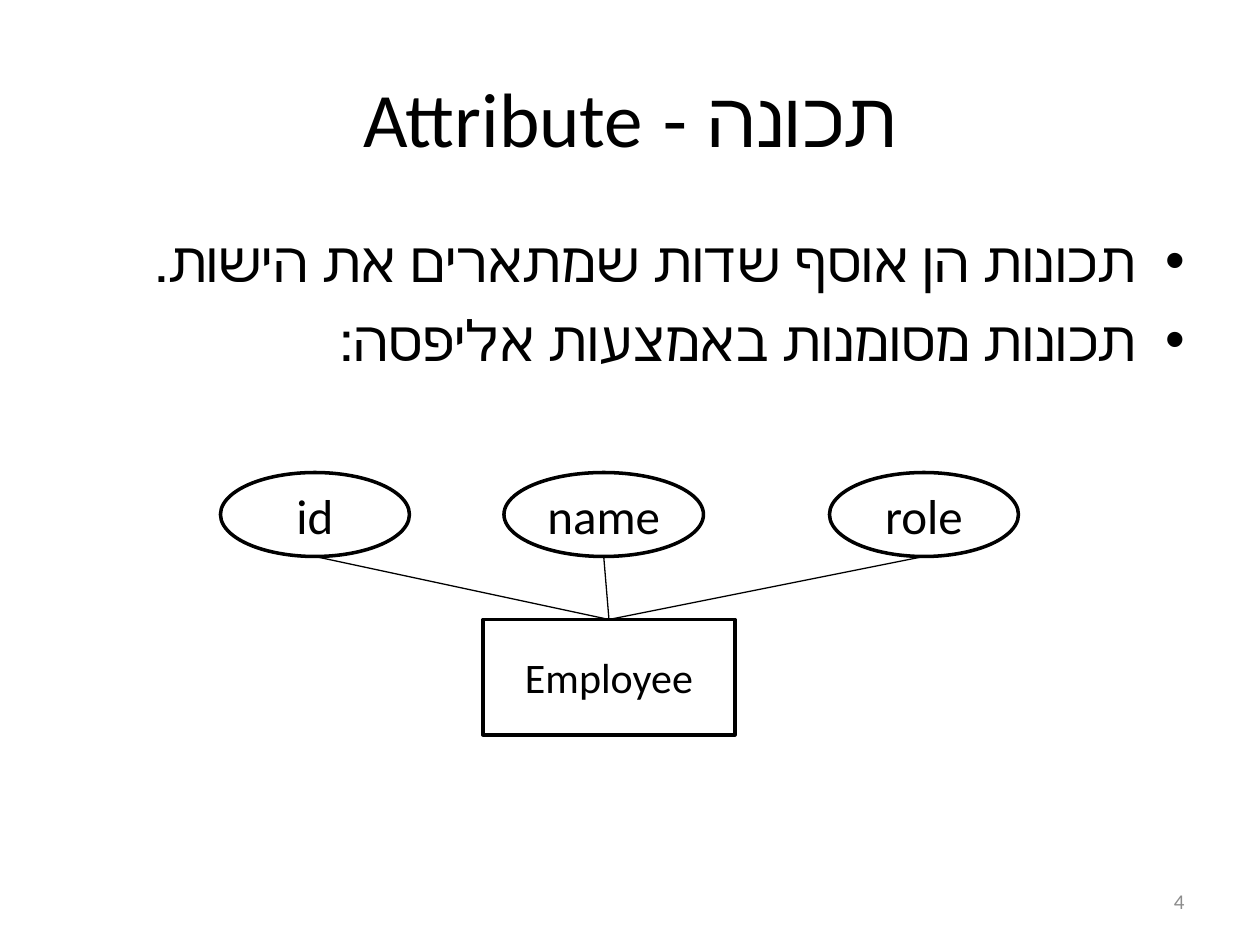
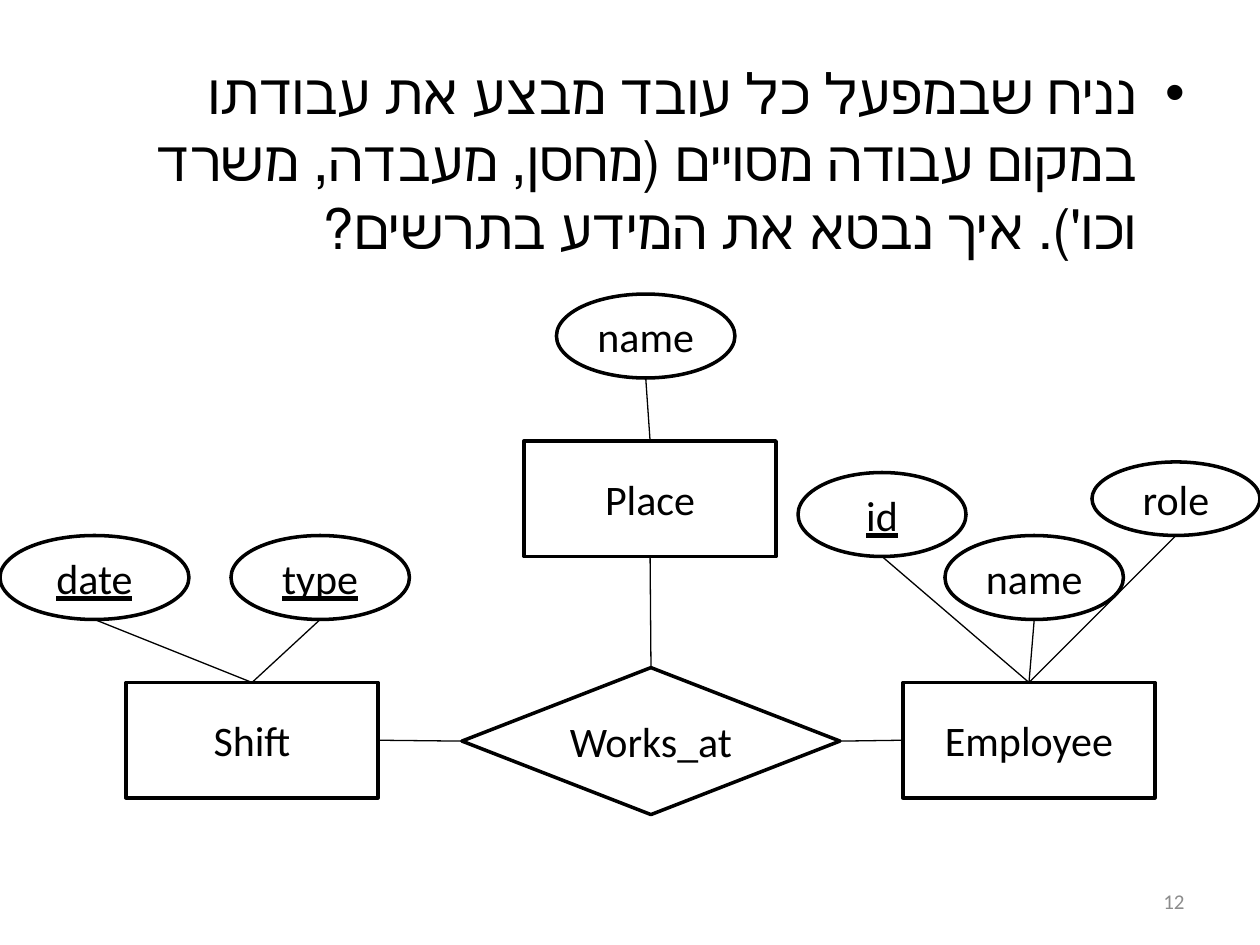
"""Build two slides of entity-relationship diagrams with Hebrew text."""
from dataclasses import dataclass

import pptx
import pptx.dml.color
import pptx.enum.shapes
import pptx.enum.text
import pptx.oxml.xmlchemy
import pptx.util
from lxml import etree
from pptx.oxml import ns

Pt = pptx.util.Pt
SHAPE = pptx.enum.shapes.MSO_SHAPE
ALIGN = pptx.enum.text.PP_ALIGN
ANCHOR = pptx.enum.text.MSO_ANCHOR
FONT = "Calibri"
COLORS = {"ink": "000000", "number": "8C8C8C"}
TOP, LEFT, BOTTOM, RIGHT = range(4)
MARGIN, CONTENT_W = 36, 648
ENTITY_W, ENTITY_H = 144, 66


@dataclass(frozen=True)
class Attribute:
    name: str
    x: float
    y: float
    w: float
    h: float = 48
    key: bool = False


@dataclass(frozen=True)
class Entity:
    name: str
    x: float
    y: float
    attributes: tuple[Attribute, ...]


def rgb(name: str):
    return pptx.dml.color.RGBColor.from_string(COLORS[name])


def write(sp, *texts: str, size: float, color: str = "ink", align=ALIGN.CENTER,
          anchor=ANCHOR.MIDDLE, underline: bool = False, rtl: bool = False,
          bullet: bool = False) -> None:
    tf = sp.text_frame
    tf.word_wrap = True
    tf.vertical_anchor = anchor
    for i, text in enumerate(texts):
        p = tf.paragraphs[0] if i == 0 else tf.add_paragraph()
        p.alignment = align
        pPr = p._p.get_or_add_pPr()
        if rtl:
            pPr.set("rtl", "1")
        if bullet:
            pPr.set("marL", str(Pt(27)))
            pPr.set("indent", str(-Pt(27)))
            etree.SubElement(pPr, ns.qn("a:buFont")).set("typeface", "Arial")
            etree.SubElement(pPr, ns.qn("a:buChar")).set("char", "•")
        if i:
            p.space_before = Pt(size * 0.2)
        r = p.add_run()
        r.text = text
        r.font.name = FONT
        r.font.size = Pt(size)
        r.font.color.rgb = rgb(color)
        if underline:
            r.font.underline = True


def add_text(s, x: float, y: float, w: float, h: float, *texts: str, **fmt) -> None:
    write(s.shapes.add_textbox(Pt(x), Pt(y), Pt(w), Pt(h)), *texts, **fmt)


def add_body(s, y: float, h: float, *texts: str) -> None:
    add_text(s, MARGIN, y, CONTENT_W, h, *texts, size=32, align=ALIGN.RIGHT,
             anchor=ANCHOR.TOP, rtl=True, bullet=True)


def add_node(s, kind, x: float, y: float, w: float, h: float, text: str, **fmt):
    sp = s.shapes.add_shape(kind, Pt(x), Pt(y), Pt(w), Pt(h))
    sp.shadow.inherit = False
    sp.fill.background()
    sp.line.color.rgb = rgb("ink")
    sp.line.width = Pt(2)
    sp.text_frame.margin_left = sp.text_frame.margin_right = 0
    write(sp, text, **fmt)
    return sp


def add_link(s, x: float, y: float, target, side: int):
    cxn = s.shapes.add_connector(pptx.enum.shapes.MSO_CONNECTOR.STRAIGHT,
                                 Pt(x), Pt(y), Pt(x), Pt(y))
    cxn.end_connect(target, side)
    cxn.line.color.rgb = rgb("ink")
    cxn.line.width = Pt(0.75)
    etree.SubElement(cxn._element.spPr, ns.qn("a:effectLst"))
    return cxn


def add_entity(s, entity: Entity, attribute_size: float = 24):
    box = add_node(s, SHAPE.RECTANGLE, entity.x, entity.y, ENTITY_W, ENTITY_H,
                   entity.name, size=24)
    for a in entity.attributes:
        add_node(s, SHAPE.OVAL, a.x, a.y, a.w, a.h, a.name,
                 size=attribute_size, underline=a.key)
        add_link(s, a.x + a.w / 2, a.y + a.h, box, TOP)
    return box


def add_slide(prs, number: int):
    s = prs.slides.add_slide(prs.slide_layouts[6])
    add_text(s, 516, 500.5, 168, 28.75, str(number), size=12, color="number",
             align=ALIGN.RIGHT)
    return s


def add_attribute_slide(prs) -> None:
    s = add_slide(prs, 4)
    add_text(s, MARGIN, 21.6, CONTENT_W, 90, "תכונה - Attribute", size=44, rtl=True)
    add_body(s, 126, 150, "תכונות הן אוסף שדות שמתארים את הישות.",
             "תכונות מסומנות באמצעות אליפסה:")
    add_entity(s, Entity("Employee", 276, 354, (
        Attribute("id", 126, 270, 108),
        Attribute("role", 474, 270, 108),
        Attribute("name", 288, 270, 114))), attribute_size=28)


def add_relationship_slide(prs) -> None:
    s = add_slide(prs, 12)
    add_body(s, 30, 162, "נניח שבמפעל כל עובד מבצע את עבודתו במקום עבודה מסויים "
             "(מחסן, מעבדה, משרד וכו'). איך נבטא את המידע בתרשים?")
    shift = add_entity(s, Entity("Shift", 72, 390, (
        Attribute("type", 132, 306, 102, key=True),
        Attribute("date", 0, 306, 108, key=True))))
    employee = add_entity(s, Entity("Employee", 516, 390, (
        Attribute("id", 456, 270, 96, key=True),
        Attribute("role", 624, 264, 96, 42),
        Attribute("name", 540, 306, 102))))
    place = add_entity(s, Entity("Place", 299.5, 252, (
        Attribute("name", 318, 168, 102),)))
    x, y, w, h = 264, 381.5, 216, 84
    works_at = add_node(s, SHAPE.FLOWCHART_DECISION, x, y, w, h, "Works_at", size=24)
    for box, side, corner in ((shift, RIGHT, LEFT), (employee, LEFT, RIGHT),
                              (place, BOTTOM, TOP)):
        add_link(s, x, y, box, side).begin_connect(works_at, corner)


def main() -> None:
    prs = pptx.Presentation()
    prs.slide_width, prs.slide_height = Pt(720), Pt(540)
    add_attribute_slide(prs)
    add_relationship_slide(prs)
    prs.save("out.pptx")


if __name__ == "__main__":
    main()
